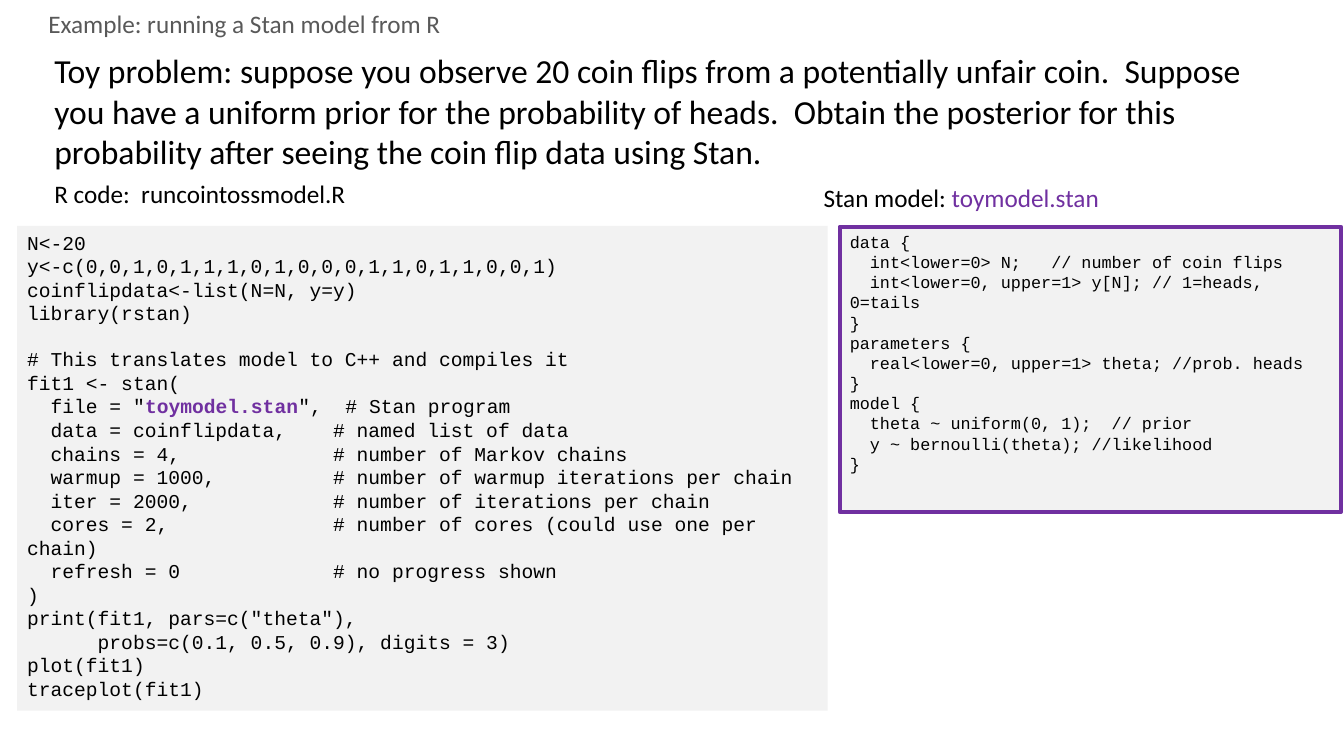
"""Build a slide that shows how to run a Stan model from R."""
from pptx import Presentation
from pptx import util as u
from pptx.dml.color import RGBColor
from pptx.enum import shapes, text

PX = 9144
BLACK, GREY, PURPLE, PANEL = "000000", "595959", "7030A0", "F2F2F2"
MODEL_FILE = "toymodel.stan"

TITLE = ("Example: running a Stan model from R", (38, 3, 414, 40))
PROBLEM = (
    "Toy problem: suppose you observe 20 coin flips from a potentially unfair coin.  "
    "Suppose you have a uniform prior for the probability of heads.  Obtain the "
    "posterior for this probability after seeing the coin flip data using Stan.",
    (44, 45, 1206, 131),
)
LABELS = [
    ("R code:  runcointossmodel.R", (44, 172, 312, 40)),
    ("Stan model: " + MODEL_FILE, (807, 176, 296, 40)),
]
STAN_CODE = """data {
  int<lower=0> N;   // number of coin flips
  int<lower=0, upper=1> y[N]; // 1=heads, 0=tails
}
parameters {
  real<lower=0, upper=1> theta; //prob. heads
}
model {
  theta ~ uniform(0, 1);  // prior
  y ~ bernoulli(theta); //likelihood
}"""
R_SETUP = """N<-20
y<-c(0,0,1,0,1,1,1,0,1,0,0,0,1,1,0,1,1,0,0,1)
coinflipdata<-list(N=N, y=y)
library(rstan)"""
R_FIT = """# This translates model to C++ and compiles it
fit1 <- stan(
  file = "toymodel.stan",  # Stan program
  data = coinflipdata,    # named list of data
  chains = 4,             # number of Markov chains
  warmup = 1000,          # number of warmup iterations per chain
  iter = 2000,            # number of iterations per chain
  cores = 2,              # number of cores (could use one per chain)
  refresh = 0             # no progress shown
)
print(fit1, pars=c("theta"),
      probs=c(0.1, 0.5, 0.9), digits = 3)
plot(fit1)
traceplot(fit1)"""
PANELS = [
    ([STAN_CODE], (833, 225, 497, 283), 12, PURPLE),
    ([R_SETUP, R_FIT], (17, 224, 804, 481), 14, None),
]


def rgb(value):
    """Turn a hex string into a colour."""
    return RGBColor.from_string(value)


def place(box):
    """Turn a box in px into EMU lengths."""
    return [u.Emu(length * PX) for length in box]


def write(shape, blocks, size, font="Calibri", color=BLACK, wrap=True, bold_file=False):
    """Write blocks of lines, set apart by one line, with the model file in purple."""
    frame = shape.text_frame
    frame.word_wrap = wrap
    frame.auto_size = text.MSO_AUTO_SIZE.NONE
    frame.vertical_anchor = text.MSO_ANCHOR.TOP
    lines = [(line, block > 0 and row == 0)
             for block, code in enumerate(blocks)
             for row, line in enumerate(code.split("\n"))]
    for index, (line, starts_block) in enumerate(lines):
        para = frame.add_paragraph() if index else frame.paragraphs[0]
        para.alignment = text.PP_ALIGN.LEFT
        if starts_block:
            para.space_before = u.Pt(round(size * 1.13))
        for part in line.partition(MODEL_FILE):
            if part:
                span = para.add_run()
                span.text = part
                is_file = part == MODEL_FILE
                span.font.name = font
                span.font.size = u.Pt(size)
                span.font.bold = is_file and bold_file
                span.font.color.rgb = rgb(PURPLE if is_file else color)


def add_panel(page, blocks, box, size, border):
    """Add a code panel with an optional border."""
    panel = page.shapes.add_shape(shapes.MSO_SHAPE.RECTANGLE, *place(box))
    panel.shadow.inherit = False
    panel.fill.solid()
    panel.fill.fore_color.rgb = rgb(PANEL)
    if border:
        panel.line.color.rgb = rgb(border)
        panel.line.width = u.Pt(3)
    else:
        panel.line.fill.background()
    write(panel, blocks, size, "Courier New", bold_file=True)


def main():
    """Build and save the deck."""
    deck = Presentation()
    deck.slide_width, deck.slide_height = place((1333, 750))
    page = deck.slides.add_slide(deck.slide_layouts[5])
    title = page.shapes.title
    title.left, title.top, title.width, title.height = place(TITLE[1])
    write(title, [TITLE[0]], 18, color=GREY, wrap=False)
    write(page.shapes.add_textbox(*place(PROBLEM[1])), [PROBLEM[0]], 24)
    for panel in PANELS:
        add_panel(page, *panel)
    for label, box in LABELS:
        write(page.shapes.add_textbox(*place(box)), [label], 18, wrap=False)
    deck.save("out.pptx")


if __name__ == "__main__":
    main()
